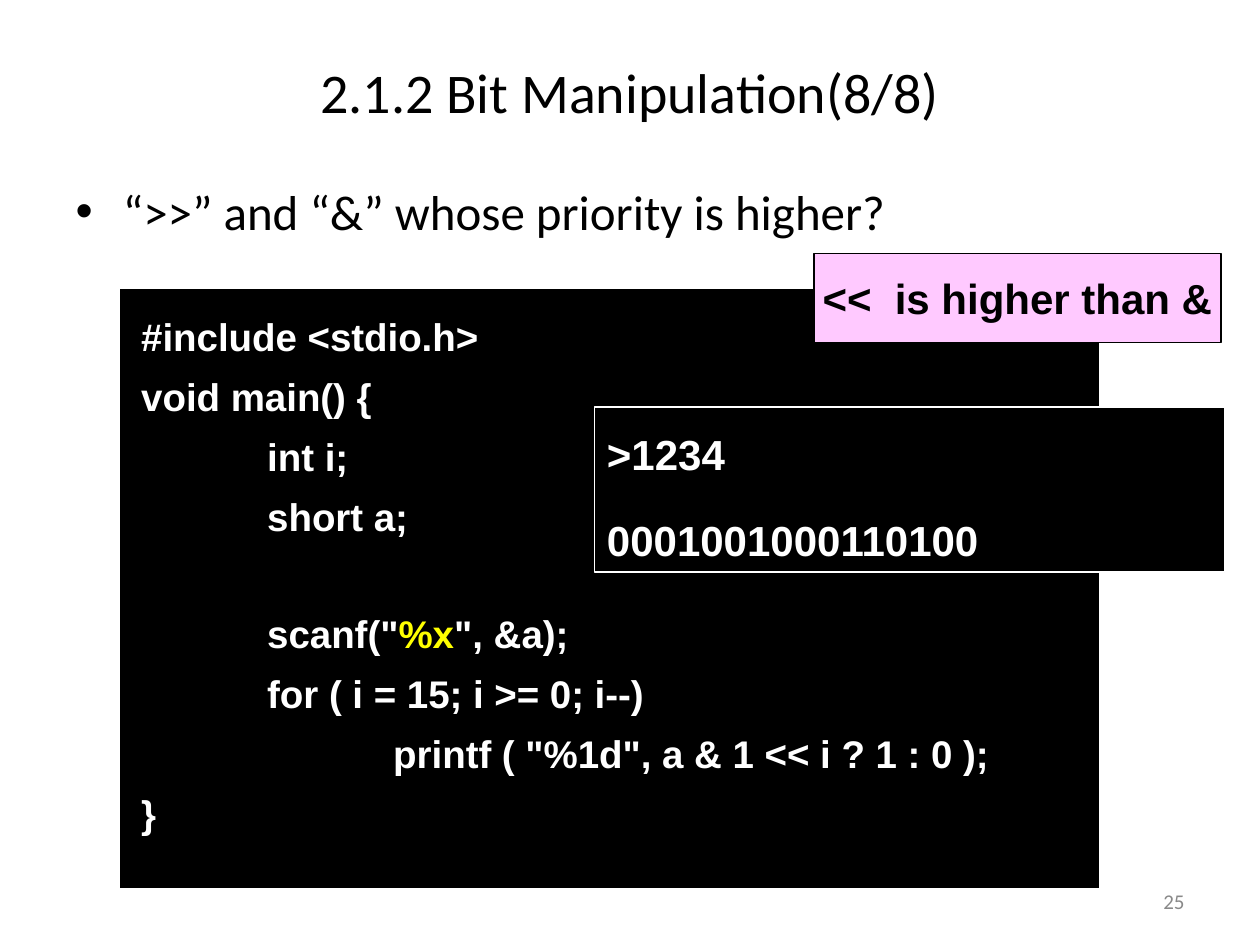
"""Build a slide on the priority of shift and bitwise-and operators in C."""
from pptx import Presentation
from pptx.dml.color import RGBColor
from pptx.enum.shapes import MSO_SHAPE
from pptx.enum.text import MSO_ANCHOR, MSO_AUTO_SIZE, PP_ALIGN
from pptx.oxml.ns import qn
from pptx.util import Pt
from lxml.etree import SubElement

BLACK = RGBColor(0x00, 0x00, 0x00)
WHITE = RGBColor(0xFF, 0xFF, 0xFF)
YELLOW = RGBColor(0xFF, 0xFF, 0x00)
PINK = RGBColor(0xFF, 0xC9, 0xFF)
GREY = RGBColor(0x89, 0x89, 0x89)

TITLE = ["2.1.2 Bit Manipulation(8/8)"]
QUESTION = ["“>>” and “&” whose priority is higher?"]
DECLARATIONS = ["#include <stdio.h>", "void main() {", "\tint i;", "\tshort a;"]
STATEMENTS = [
    [("\tscanf(\"", WHITE), ("%x", YELLOW), ("\", &a);", WHITE)],
    "\tfor ( i = 15; i >= 0; i--)",
    "\t\tprintf ( \"%1d\", a & 1 << i ? 1 : 0 );",
    "}",
]
ANSWER = ["<<  is higher than &"]
OUTPUT = [">1234", "0001001000110100"]
PAGE_NUMBER = ["25"]

TAB = Pt(72)
CODE_SPACING = 1.3
CODE_LINE = Pt(33)


def write(box, lines, size, font="Arial", color=WHITE, bold=None, align=PP_ALIGN.LEFT,
          anchor=MSO_ANCHOR.TOP, wrap=True, spacing=None, before=None):
    """Fill a box with lines; a line is a string or a list of (text, colour) spans."""
    frame = box.text_frame
    frame.auto_size = MSO_AUTO_SIZE.NONE
    frame.word_wrap = wrap
    frame.vertical_anchor = anchor
    for index, line in enumerate(lines):
        para = frame.add_paragraph() if index else frame.paragraphs[0]
        para.alignment = align
        if spacing:
            para.line_spacing = spacing
        if before is not None:
            para.space_before = before
        for text, tint in [(line, color)] if isinstance(line, str) else line:
            span = para.add_run()
            span.text = text
            span.font.size = Pt(size)
            span.font.name = font
            span.font.bold = bold
            span.font.color.rgb = tint
    return frame.paragraphs


def place(box, left, top, width, height):
    """Move a box, with lengths in points."""
    box.left, box.top, box.width, box.height = map(Pt, (left, top, width, height))
    return box


def add_panel(page, bounds, fill, line, weight):
    """Add a filled, outlined rectangle."""
    panel = page.shapes.add_shape(MSO_SHAPE.RECTANGLE, *map(Pt, bounds))
    panel.shadow.inherit = False
    panel.fill.solid()
    panel.fill.fore_color.rgb = fill
    panel.line.color.rgb = line
    panel.line.width = Pt(weight)
    return panel


def set_tabs(para, count=2):
    """Give a paragraph evenly spaced left tab stops."""
    stops = SubElement(para._p.get_or_add_pPr(), qn("a:tabLst"))
    for step in range(1, count + 1):
        SubElement(stops, qn("a:tab"), pos=str(TAB * step), algn="l")


def main():
    deck = Presentation()
    deck.slide_width, deck.slide_height = Pt(720), Pt(540)
    page = deck.slides.add_slide(deck.slide_layouts[1])

    title = place(page.shapes.title, 0, 21.6, 720, 61.2)
    write(title, TITLE, 32, font="Calibri", color=BLACK,
          align=PP_ALIGN.CENTER, anchor=MSO_ANCHOR.MIDDLE)
    body = place(page.placeholders[1], 36, 100, 648, 382.3)
    write(body, QUESTION, 28, font="Calibri", color=BLACK)

    code = add_panel(page, (67.7, 164.2, 560.9, 344.2), BLACK, WHITE, 1.5)
    frame = code.text_frame
    frame.margin_left = frame.margin_right = Pt(13)
    frame.margin_top, frame.margin_bottom = Pt(6.5), Pt(12.2)
    paras = write(code, DECLARATIONS + STATEMENTS, 22, bold=True, spacing=CODE_SPACING)
    paras[len(DECLARATIONS) - 1].space_after = CODE_LINE
    for para in paras:
        set_tabs(para)

    answer = add_panel(page, (465.1, 144.7, 232.6, 51.1), PINK, BLACK, 0.75)
    write(answer, ANSWER, 24, color=BLACK, bold=True, align=PP_ALIGN.CENTER,
          anchor=MSO_ANCHOR.MIDDLE, wrap=False)

    output = add_panel(page, (339.8, 232.6, 360, 94.3), BLACK, WHITE, 0.75)
    write(output, OUTPUT, 24, bold=True, spacing=CODE_SPACING, before=Pt(12))

    number = page.shapes.add_textbox(*map(Pt, (516.2, 500.4, 167.8, 28.8)))
    write(number, PAGE_NUMBER, 12, font="Calibri", color=GREY,
          align=PP_ALIGN.RIGHT, anchor=MSO_ANCHOR.MIDDLE)

    deck.save("out.pptx")


if __name__ == "__main__":
    main()
